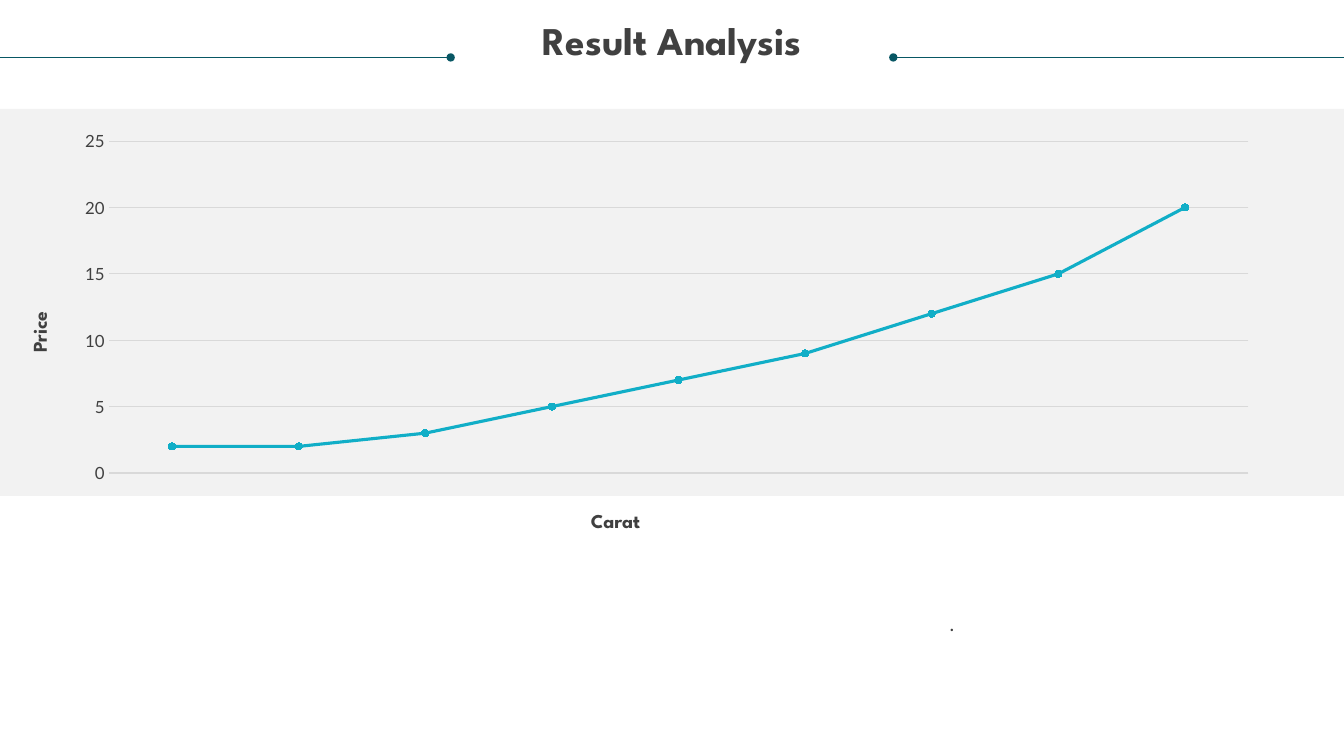
from lxml.etree import SubElement
from pptx import Presentation
from pptx.chart.data import CategoryChartData
from pptx.dml.color import RGBColor
from pptx.enum.chart import XL_CHART_TYPE as ChartType, XL_MARKER_STYLE as Marker, XL_TICK_MARK as Tick
from pptx.enum.shapes import MSO_CONNECTOR as Connector, MSO_SHAPE as Shape
from pptx.enum.text import MSO_ANCHOR as Anchor, MSO_AUTO_SIZE as AutoSize, PP_ALIGN as Align
from pptx.oxml.ns import qn
from pptx.util import Inches, Pt

WIDTH, HEIGHT = 13.33, 7.5
INK = RGBColor(0x40, 0x40, 0x40)
RULE = RGBColor(0x08, 0x57, 0x64)
BAND = RGBColor(0xF2, 0xF2, 0xF2)
GRID = RGBColor(0xD9, 0xD9, 0xD9)
CURVE = RGBColor(0x11, 0xAE, 0xC7)
HEADING_FONT, BODY_FONT = "League Spartan", "Lato"
RULE_Y, RULE_LENGTH = 0.57, 4.47
PRICES = (2, 2, 3, 5, 7, 9, 12, 15, 20)


def box(left, top, width, height):
    """Convert a rectangle in inches to slide lengths."""
    return [Inches(length) for length in (left, top, width, height)]


def write(holder, words, size, font, bold, spacing, align=Align.LEFT):
    """Put one formatted run into a frame without margins."""
    frame = holder.text_frame
    frame.word_wrap = True
    frame.auto_size = AutoSize.NONE
    frame.vertical_anchor = Anchor.TOP
    frame.margin_left = frame.margin_right = frame.margin_top = frame.margin_bottom = 0
    paragraph = frame.paragraphs[0]
    paragraph.alignment = align
    paragraph.line_spacing = spacing
    run = paragraph.add_run()
    run.text = words
    run.font.size, run.font.name, run.font.bold = Pt(size), font, bold
    run.font.color.rgb = INK


def add_title(slide, words):
    """Centre the title placeholder between the two rules."""
    title = slide.shapes.title
    title.left, title.top, title.width, title.height = box(0.25, 0.21, WIDTH - 0.5, 0.85)
    write(title, words, 28, HEADING_FONT, True, 0.9, Align.CENTER)


def add_label(slide, words, place, font=HEADING_FONT, bold=True, rotation=0):
    """Add a small text label."""
    label = slide.shapes.add_textbox(*box(*place))
    label.rotation = rotation
    write(label, words, 14, font, bold, Pt(19))


def add_band(slide):
    """Lay the full-width band behind the chart."""
    band = slide.shapes.add_shape(Shape.RECTANGLE, *box(0, 1.08, WIDTH, 3.84))
    band.shadow.inherit = False
    band.fill.solid()
    band.fill.fore_color.rgb = BAND
    band.line.fill.background()


def add_rule(slide, edge, inner):
    """Draw a rule from the slide's edge to a dot beside the title."""
    y = Inches(RULE_Y)
    rule = slide.shapes.add_connector(Connector.STRAIGHT, Inches(edge), y, Inches(inner), y)
    rule.line.color.rgb = RULE
    rule.line.width = Pt(0.5)
    SubElement(rule.line._get_or_add_ln(), qn("a:tailEnd"), type="oval")
    SubElement(rule._element.spPr, qn("a:effectLst"))


def place_plot(chart, **shares):
    """Fix the inner plot area as shares of the chart."""
    plot_area = chart._chartSpace.chart.plotArea
    layout = plot_area.find(qn("c:layout"))
    if layout is None:
        layout = SubElement(plot_area, qn("c:layout"))
        plot_area.insert(0, layout)
    manual = SubElement(layout, qn("c:manualLayout"))
    settings = {"layoutTarget": "inner", "xMode": "edge", "yMode": "edge", **shares}
    for tag, value in settings.items():
        SubElement(manual, qn(f"c:{tag}"), val=str(value))


def style_axes(chart):
    """Hide the carat axis and format the price axis."""
    chart.category_axis.visible = False
    price_axis = chart.value_axis
    price_axis.minimum_scale, price_axis.maximum_scale, price_axis.major_unit = 0, 25, 5
    price_axis.major_tick_mark = price_axis.minor_tick_mark = Tick.NONE
    price_axis.format.line.fill.background()
    price_axis.major_gridlines.format.line.color.rgb = GRID
    price_axis.major_gridlines.format.line.width = Pt(0.75)
    tick_font = price_axis.tick_labels.font
    tick_font.size, tick_font.name = Pt(12), BODY_FONT
    tick_font.color.rgb = INK


def add_price_chart(slide):
    """Plot price against carat as a line with markers."""
    prices = CategoryChartData()
    prices.categories = [str(number) for number in range(1, len(PRICES) + 1)]
    prices.add_series("Series 1", PRICES)
    chart = slide.shapes.add_chart(
        ChartType.LINE_MARKERS, *box(0.72, 1.18, 11.9, 3.66), prices).chart
    chart.has_title = chart.has_legend = False
    chart.font.size, chart.font.name = Pt(10), BODY_FONT
    chart.plots[0].vary_by_categories = False
    place_plot(chart, x=0.03, y=0.06, w=0.95, h=0.9)
    style_axes(chart)
    curve = chart.plots[0].series[0]
    curve.smooth = False
    curve.format.line.color.rgb = CURVE
    curve.format.line.width = Pt(2.25)
    curve.marker.style, curve.marker.size = Marker.CIRCLE, 5
    curve.marker.format.fill.solid()
    curve.marker.format.fill.fore_color.rgb = CURVE
    curve.marker.format.line.color.rgb = CURVE


def main():
    """Build the result analysis slide."""
    deck = Presentation()
    deck.slide_width, deck.slide_height = Inches(WIDTH), Inches(HEIGHT)
    slide = deck.slides.add_slide(deck.slide_layouts[5])
    add_title(slide, "Result Analysis")
    add_band(slide)
    add_rule(slide, 0, RULE_LENGTH)
    add_rule(slide, WIDTH, WIDTH - RULE_LENGTH)
    add_price_chart(slide)
    add_label(slide, ".", (9.42, 6.04, 3, 0.24), BODY_FONT, False)
    add_label(slide, "Carat", (5.86, 5.02, 0.72, 0.27))
    add_label(slide, "Price", (0, 3.02, 0.72, 0.24), rotation=270)
    deck.save("out.pptx")


if __name__ == "__main__":
    main()
